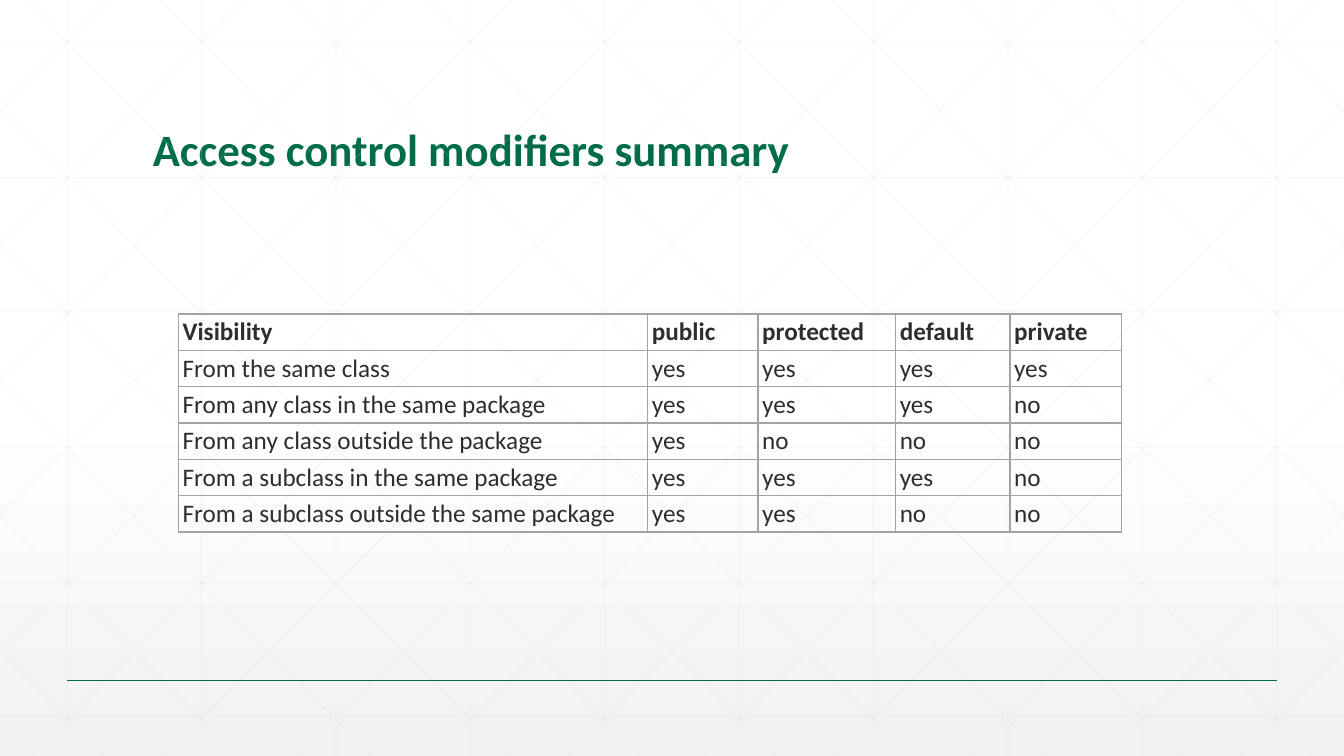
from copy import deepcopy
from typing import NamedTuple

from lxml.etree import SubElement
from pptx import Presentation
from pptx.dml.color import RGBColor
from pptx.enum.shapes import MSO_CONNECTOR
from pptx.enum.text import MSO_ANCHOR, MSO_AUTO_SIZE, PP_ALIGN
from pptx.oxml import parse_xml
from pptx.oxml.ns import nsdecls, qn
from pptx.util import Emu, Pt

STRAIGHT = MSO_CONNECTOR.STRAIGHT
BOTTOM = MSO_ANCHOR.BOTTOM
NO_FIT = MSO_AUTO_SIZE.NONE
LEFT = PP_ALIGN.LEFT

GREEN = RGBColor(0x01, 0x6C, 0x48)
INK = RGBColor(0x2D, 0x2E, 0x2D)
EDGE = RGBColor(0xA3, 0xA3, 0xA3)
MESH = RGBColor(0xD9, 0xD9, 0xD9)
WHITE = RGBColor(0xFF, 0xFF, 0xFF)
MIST = RGBColor(0xF2, 0xF2, 0xF2)

FONT = "Calibri"
WIDE, HIGH = 1280, 720
STEP = 128  # mesh spacing
RUN = 715  # how far a diagonal moves sideways from top to bottom

COLS = (447, 105, 131, 109, 106)
ROW = 34
ROWS = (
    ("Visibility", "public", "protected", "default", "private"),
    ("From the same class", "yes", "yes", "yes", "yes"),
    ("From any class in the same package", "yes", "yes", "yes", "no"),
    ("From any class outside the package", "yes", "no", "no", "no"),
    ("From a subclass in the same package", "yes", "yes", "yes", "no"),
    ("From a subclass outside the same package", "yes", "yes", "no", "no"),
)


class Line(NamedTuple):
    x1: int
    y1: int
    x2: int
    y2: int


def px(n: int) -> Emu:
    return Emu(n * 9525)


def fade(node, percent: int) -> None:
    """Set the opacity of every colour inside the node."""
    for color in node.iter(qn("a:srgbClr")):
        SubElement(color, qn("a:alpha"), val=str(percent * 1000))


def draw_line(shapes, line: Line, color: RGBColor, width: float):
    link = shapes.add_connector(STRAIGHT, *map(px, line))
    link.line.color.rgb = color
    link.line.width = Pt(width)
    SubElement(link.element.spPr, qn("a:effectLst"))
    return link


def mesh_lines() -> list[Line]:
    """Uprights, levels, and diagonals clipped to the slide and mirrored."""
    lines = [Line(x, 0, x, HIGH) for x in range(64, WIDE, STEP)]
    levels = [round(40 + 128.67 * i) for i in range(6)]
    lines += [Line(0, y, WIDE, y) for y in levels]
    for i in range(-5, 10):
        top = 24 + STEP * i
        x1, x2 = max(top, 0), min(top + RUN, WIDE)
        y1, y2 = (round((x - top) * HIGH / RUN) for x in (x1, x2))
        lines.append(Line(x1, y1, x2, y2))
        lines.append(Line(WIDE - x1, y1, WIDE - x2, y2))
    return lines


def paint_back(slide) -> None:
    fill = slide.background.fill
    fill.gradient()
    fill.gradient_angle = 270
    first = next(slide.element.iter(qn("a:gs")))
    first.addnext(deepcopy(first))
    plan = ((0, WHITE), (0.53, WHITE), (1, MIST))
    for stop, (place, color) in zip(fill.gradient_stops, plan):
        stop.position = place
        stop.color.rgb = color
    fade(list(slide.element.iter(qn("a:gs")))[-1], 65)


def draw_mesh(slide) -> None:
    group = slide.shapes.add_group_shape()
    for line in mesh_lines():
        link = draw_line(group.shapes, line, MESH, 0.5)
        fade(link.element, 25)


def add_text(part, text: str, size: int, color: RGBColor, bold: bool) -> None:
    run = part.add_run()
    run.text = text
    font = run.font
    font.name, font.size, font.bold = FONT, Pt(size), bold
    font.color.rgb = color


def set_title(slide) -> None:
    title = slide.shapes.title
    title.left, title.top = px(136), px(53)
    title.width, title.height = px(1008), px(120)
    frame = title.text_frame
    frame.auto_size = NO_FIT
    frame.vertical_anchor = BOTTOM
    part = frame.paragraphs[0]
    part.alignment = LEFT
    part.line_spacing = 0.9
    add_text(part, "Access control modifiers summary", 32, GREEN, True)


def style_cell(cell) -> None:
    cell.margin_left = cell.margin_right = Pt(3)
    cell.margin_top = cell.margin_bottom = Pt(2)
    cell.fill.background()
    props = cell._tc.get_or_add_tcPr()
    for i, side in enumerate("LRTB"):
        props.insert(i, parse_xml(
            f'<a:ln{side} {nsdecls("a")} w="{Pt(1)}"><a:solidFill>'
            f'<a:srgbClr val="{EDGE}"/></a:solidFill></a:ln{side}>'))


def draw_table(slide) -> None:
    frame = slide.shapes.add_table(
        len(ROWS), len(COLS), px(170), px(299),
        px(sum(COLS)), px(ROW * len(ROWS)))
    table = frame.table
    table.first_row = table.horz_banding = False
    for col, width in zip(table.columns, COLS):
        col.width = px(width)
    for i, (row, words) in enumerate(zip(table.rows, ROWS)):
        row.height = px(ROW)
        for cell, word in zip(row.cells, words):
            style_cell(cell)
            part = cell.text_frame.paragraphs[0]
            add_text(part, word, 18, INK, i == 0)


def main() -> None:
    deck = Presentation()
    deck.slide_width, deck.slide_height = px(WIDE), px(HIGH)
    slide = deck.slides.add_slide(deck.slide_layouts[5])
    paint_back(slide)
    draw_mesh(slide)
    draw_line(slide.shapes, Line(64, 648, 1216, 648), GREEN, 1)
    set_title(slide)
    draw_table(slide)
    deck.save("out.pptx")


if __name__ == "__main__":
    main()
